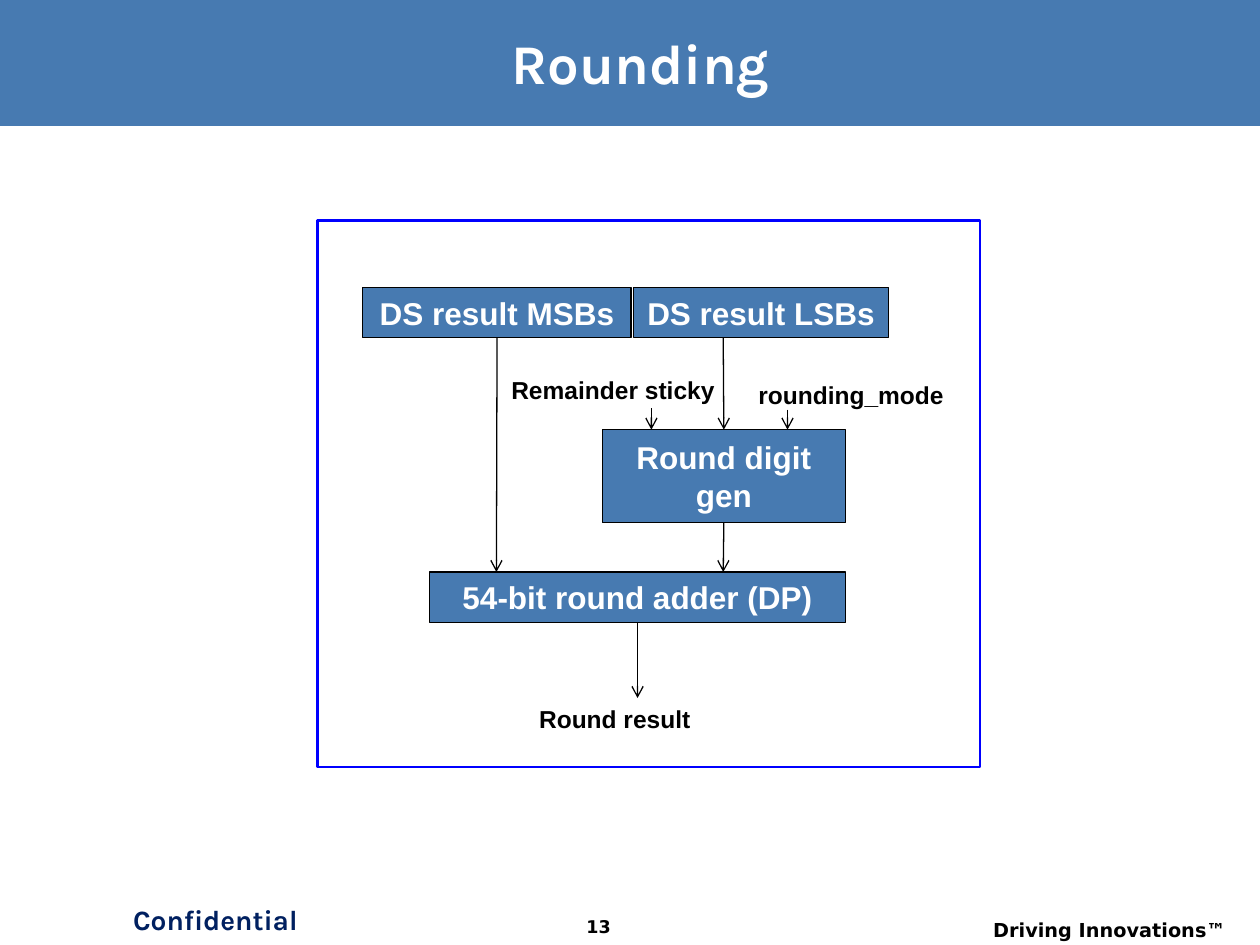
from lxml.etree import SubElement
from pptx import Presentation
from pptx.dml.color import RGBColor
from pptx.enum.shapes import MSO_CONNECTOR, MSO_SHAPE
from pptx.enum.text import MSO_ANCHOR, PP_ALIGN
from pptx.oxml import parse_xml
from pptx.oxml.ns import nsdecls, qn
from pptx.util import Inches, Pt

COLORS = {"blue": "477AB1", "navy": "002060", "frame": "0000FF",
          "black": "000000", "white": "FFFFFF"}
TOP, BOTTOM = 0, 2


def rgb(name):
    return RGBColor.from_string(COLORS[name])


def set_text(s, text, size, font="Arial", color="black", align=PP_ALIGN.LEFT,
             anchor=MSO_ANCHOR.TOP):
    tf = s.text_frame
    tf.word_wrap = True
    tf.vertical_anchor = anchor
    p = tf.paragraphs[0]
    p.text = text
    p.alignment = align
    p.font.size = Pt(size)
    p.font.name = font
    p.font.bold = True
    p.font.color.rgb = rgb(color)
    return p


def add_label(slide, box, text, size=14, **style):
    s = slide.shapes.add_textbox(*map(Inches, box))
    return set_text(s, text, size, **style)


def add_rect(slide, box, fill=None, line=None, width=0.75):
    s = slide.shapes.add_shape(MSO_SHAPE.RECTANGLE, *map(Inches, box))
    s.shadow.inherit = False
    if fill:
        s.fill.solid()
        s.fill.fore_color.rgb = rgb(fill)
    else:
        s.fill.background()
    if line:
        s.line.color.rgb = rgb(line)
        s.line.width = Pt(width)
    else:
        s.line.fill.background()
    return s


def add_block(slide, box, text):
    s = add_rect(slide, box, "blue", "black")
    s.text_frame.margin_left = s.text_frame.margin_right = Inches(0.05)
    set_text(s, text, 18, color="white", align=PP_ALIGN.CENTER,
             anchor=MSO_ANCHOR.MIDDLE)
    return s


def add_down_arrow(slide, x, top, bottom, source=None, target=None):
    s = slide.shapes.add_connector(MSO_CONNECTOR.STRAIGHT, Inches(x), Inches(top),
                                   Inches(x), Inches(bottom))
    if source:
        s.begin_connect(source, BOTTOM)
    if target:
        s.end_connect(target, TOP)
    s.line.color.rgb = rgb("black")
    s.line.width = Pt(0.75)
    SubElement(s.line._get_or_add_ln(), qn("a:tailEnd"), type="arrow")
    SubElement(s._element.spPr, qn("a:effectLst"))


def add_title(slide, text):
    p = add_label(slide, (0.35, 0.16, 9.47, 0.66), text, 32, font="Karla",
                  color="white", align=PP_ALIGN.CENTER, anchor=MSO_ANCHOR.MIDDLE)
    r = p.runs[0]
    r.font.fill.solid()
    r.font.fill.fore_color.rgb = rgb("white")
    r._r.get_or_add_rPr().append(parse_xml(
        f'<a:effectLst {nsdecls("a")}><a:outerShdw dist="38100" dir="2700000">'
        f'<a:srgbClr val="{COLORS["black"]}"/></a:outerShdw></a:effectLst>'))


def add_footer(slide):
    add_label(slide, (0.89, 7.11, 1.64, 0.42), "Confidential", 16, font="Karla",
              color="navy", align=PP_ALIGN.CENTER)
    add_label(slide, (7.46, 7.24, 2.37, 0.26), "Driving Innovations™", 11,
              font="DejaVu Sans", align=PP_ALIGN.RIGHT)
    add_label(slide, (4.29, 7.22, 0.92, 0.28), "13", 10, font="DejaVu Sans",
              align=PP_ALIGN.CENTER)


def add_diagram(slide):
    add_rect(slide, (2.52, 1.75, 5.26, 4.34), line="frame", width=1.25)
    msbs = add_block(slide, (2.88, 2.28, 2.13, 0.4), "DS result MSBs")
    add_block(slide, (5.03, 2.28, 2.02, 0.4), "DS result LSBs")
    digit_gen = add_block(slide, (4.78, 3.41, 1.93, 0.74), "Round digit gen")
    adder = add_block(slide, (3.41, 4.54, 3.3, 0.4), "54-bit round adder (DP)")

    add_label(slide, (3.96, 2.93, 1.83, 0.34), "Remainder sticky")
    add_label(slide, (5.92, 2.97, 1.72, 0.34), "rounding_mode")
    add_label(slide, (4.18, 5.54, 1.75, 0.34), "Round result")

    add_down_arrow(slide, 3.94, 2.68, 4.54, source=msbs)
    add_down_arrow(slide, 5.74, 2.68, 3.41, target=digit_gen)
    add_down_arrow(slide, 5.17, 3.24, 3.41)
    add_down_arrow(slide, 6.25, 3.25, 3.41)
    add_down_arrow(slide, 5.74, 4.15, 4.54, source=digit_gen)
    add_down_arrow(slide, 5.06, 4.94, 5.54, source=adder)


def main():
    """Build the rounding slide and save it."""
    prs = Presentation()
    prs.slide_width, prs.slide_height = Inches(10), Inches(7.5)
    slide = prs.slides.add_slide(prs.slide_layouts[6])
    add_rect(slide, (0, 0, 10, 1), "blue")
    add_title(slide, "Rounding")
    add_diagram(slide)
    add_footer(slide)
    prs.save("out.pptx")


if __name__ == "__main__":
    main()
